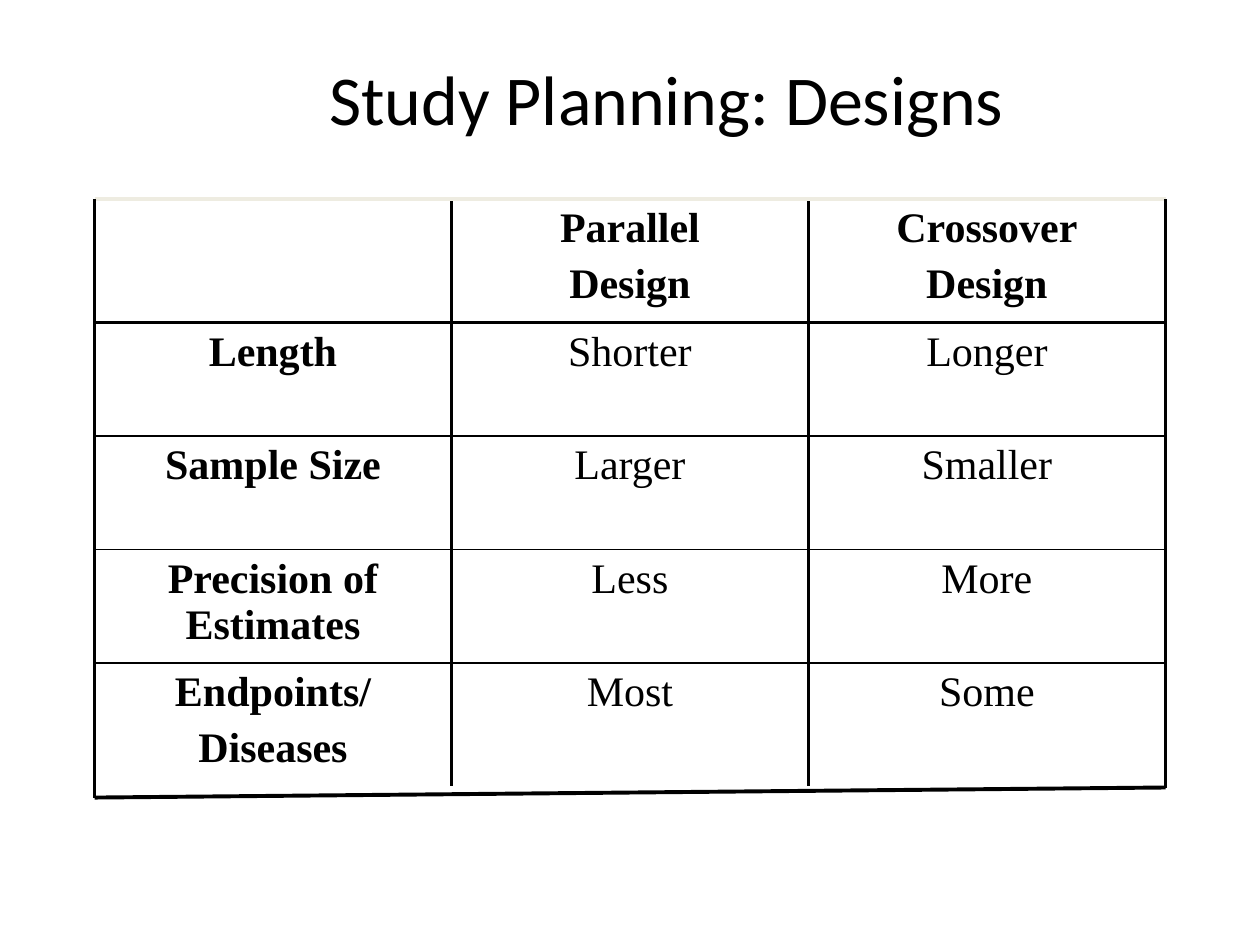
from dataclasses import dataclass

from lxml import etree
from pptx import Presentation
from pptx import util as u
from pptx.dml.color import RGBColor
from pptx.enum import shapes, text
from pptx.oxml import ns

BLACK = RGBColor(0x00, 0x00, 0x00)
CREAM = RGBColor(0xEE, 0xEC, 0xE1)
THICK, THIN = u.Pt(2.25), u.Pt(1)

LEFT, TOP, RIGHT, BOTTOM = 0.75, 1.58, 9.25, 6.25
ROW_HEIGHTS = (0.98, 0.9, 0.9, 0.9, 0.98)
ROWS = (
    ("", "Parallel\nDesign", "Crossover\nDesign"),
    ("Length", "Shorter", "Longer"),
    ("Sample Size", "Larger", "Smaller"),
    ("Precision of Estimates", "Less", "More"),
    ("Endpoints/\nDiseases", "Most", "Some"),
)


@dataclass(frozen=True)
class FrameLine:
    start: tuple[float, float]
    end: tuple[float, float]
    color: RGBColor = BLACK


FRAME = (
    FrameLine((LEFT, TOP), (RIGHT, TOP), CREAM),
    FrameLine((LEFT, TOP), (LEFT, 6.33)),
    FrameLine((LEFT, 6.33), (RIGHT, BOTTOM)),
    FrameLine((RIGHT, TOP), (RIGHT, BOTTOM)),
)


def style_para(para, font: str, size: float, bold: bool = False) -> None:
    para.alignment = text.PP_ALIGN.CENTER
    for span in para.runs:
        span.font.name = font
        span.font.size = u.Pt(size)
        span.font.bold = bold
        span.font.color.rgb = BLACK


def add_title(page, title: str) -> None:
    box = page.shapes.add_textbox(
        u.Inches(1.33), u.Inches(0.52), u.Inches(7.92), u.Inches(0.5))
    frame = box.text_frame
    frame.word_wrap = True
    frame.vertical_anchor = text.MSO_ANCHOR.MIDDLE
    frame.text = title
    style_para(frame.paragraphs[0], "Calibri", 40)


def set_borders(cell, widths: dict[str, int]) -> None:
    """Draw black borders on the given sides (L, R, T, B), none elsewhere."""
    properties = cell._tc.get_or_add_tcPr()
    for index, side in enumerate("LRTB"):
        line = etree.Element(ns.qn(f"a:ln{side}"))
        if side in widths:
            line.set("w", str(int(widths[side])))
            fill = etree.SubElement(line, ns.qn("a:solidFill"))
            etree.SubElement(fill, ns.qn("a:srgbClr"), val=str(BLACK))
        else:
            etree.SubElement(line, ns.qn("a:noFill"))
        properties.insert(index, line)


def inner_borders(row: int, column: int) -> dict[str, int]:
    """Thick column rules and header rule, thin rules between body rows."""
    widths = {}
    if column > 0:
        widths["L"] = THICK
    if column < len(ROWS[0]) - 1:
        widths["R"] = THICK
    if row > 0:
        widths["T"] = THICK if row == 1 else THIN
    if row < len(ROWS) - 1:
        widths["B"] = THICK if row == 0 else THIN
    return widths


def add_design_table(page) -> None:
    table = page.shapes.add_table(
        len(ROWS), len(ROWS[0]), u.Inches(LEFT), u.Inches(TOP),
        u.Inches(RIGHT - LEFT), u.Inches(BOTTOM - TOP)).table
    table.first_row = table.horz_banding = False
    for row, (height, labels) in enumerate(zip(ROW_HEIGHTS, ROWS)):
        table.rows[row].height = u.Inches(height)
        for column, label in enumerate(labels):
            cell = table.cell(row, column)
            cell.fill.background()
            set_borders(cell, inner_borders(row, column))
            cell.text_frame.text = label
            for para in cell.text_frame.paragraphs:
                para.space_before = u.Pt(5.5)
                style_para(para, "Times New Roman", 24, row == 0 or column == 0)


def add_frame_line(page, line: FrameLine) -> None:
    connector = page.shapes.add_connector(
        shapes.MSO_CONNECTOR.STRAIGHT,
        *(u.Inches(value) for value in line.start + line.end))
    connector.line.color.rgb = line.color
    connector.line.width = THICK
    etree.SubElement(connector._element.spPr, ns.qn("a:effectLst"))


def main() -> None:
    deck = Presentation()
    deck.slide_width, deck.slide_height = u.Inches(10), u.Inches(7.5)
    page = deck.slides.add_slide(deck.slide_layouts[6])
    add_title(page, "Study Planning: Designs")
    add_design_table(page)
    for line in FRAME:
        add_frame_line(page, line)
    deck.save("out.pptx")


if __name__ == "__main__":
    main()
